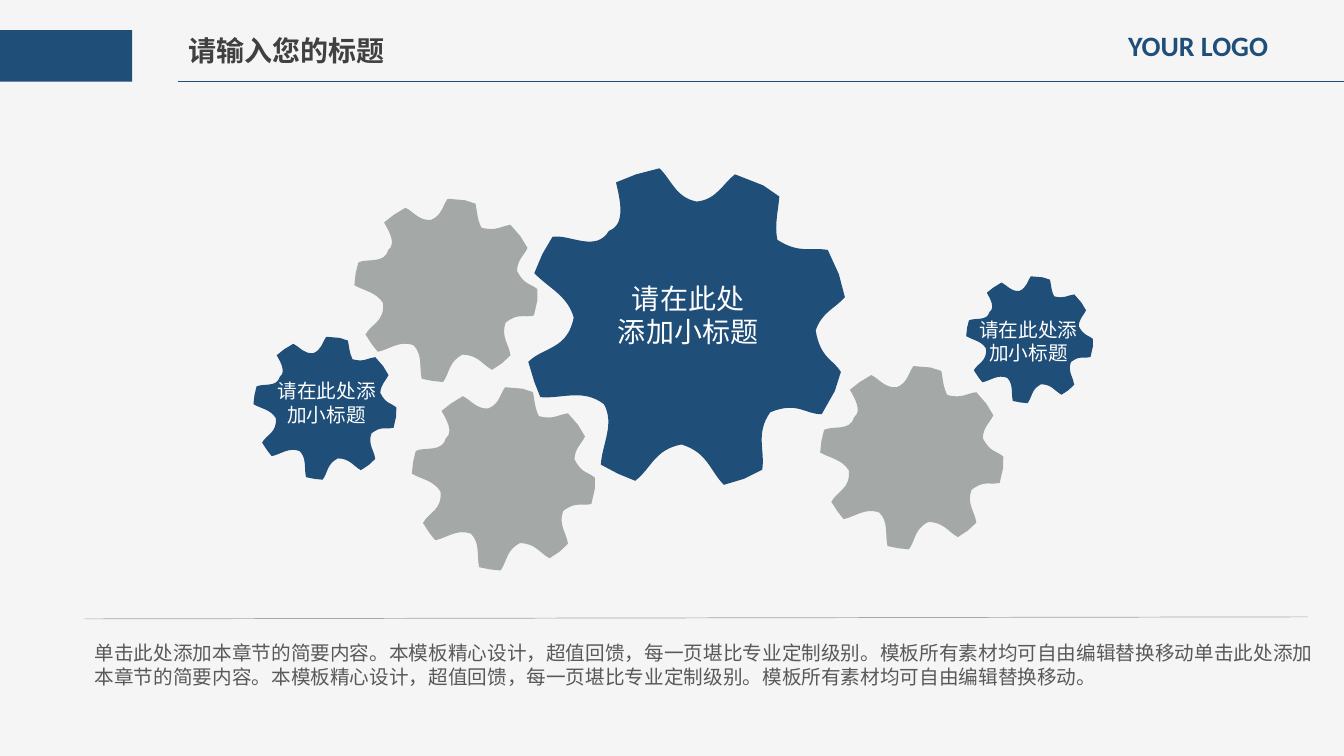
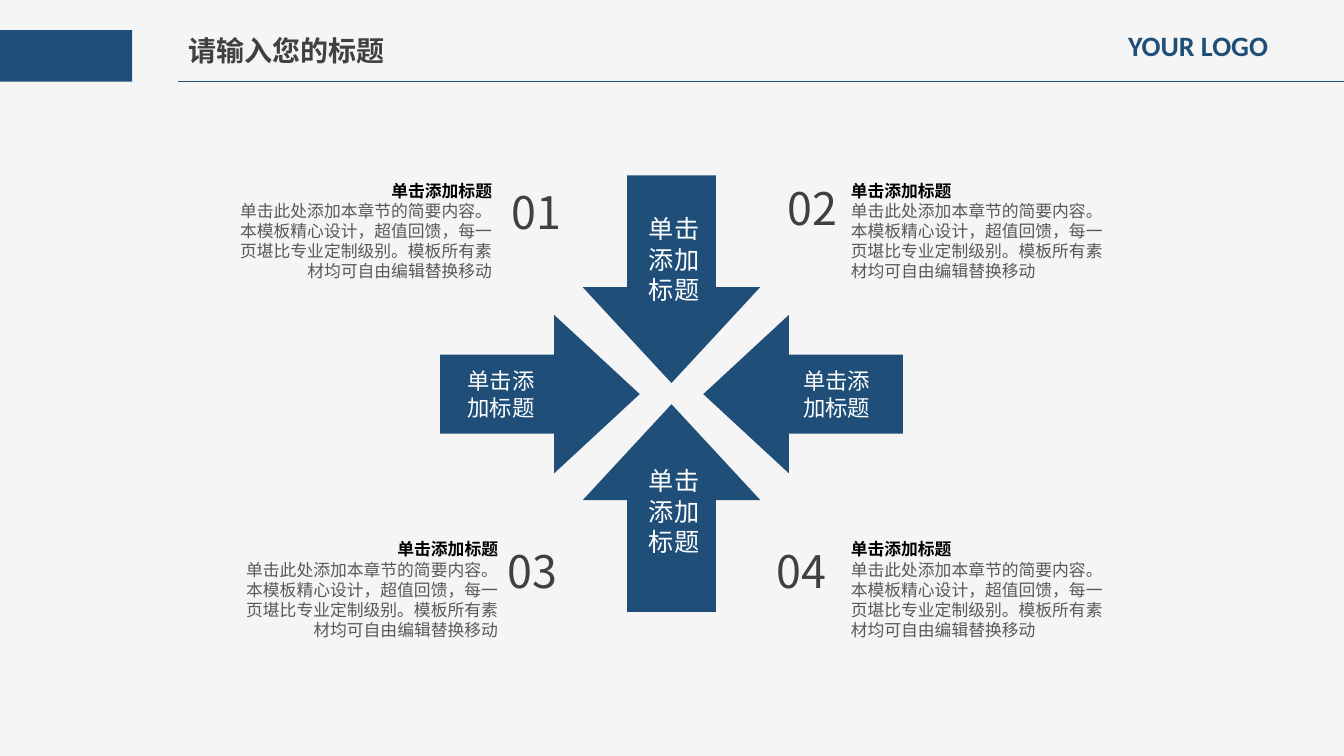
import math
from dataclasses import dataclass

import pptx
import pptx.dml.color
import pptx.enum.shapes
import pptx.enum.text
import pptx.oxml.ns
import pptx.util
from lxml import etree

Inches = pptx.util.Inches
SHAPE = pptx.enum.shapes.MSO_SHAPE
ALIGN = pptx.enum.text.PP_ALIGN
ANCHOR = pptx.enum.text.MSO_ANCHOR
qn = pptx.oxml.ns.qn

GEAR_CENTRE = (6.8, 3.25)
GEAR_SIZE = 3.2
GEAR_START = (6.54, 1.67)
GEAR_OUTLINE = [
    (6.66, 1.78, 6.7, 1.96, 6.91, 2), (7.11, 1.98, 7.17, 1.82, 7.29, 1.73),
    (7.57, 1.84), (7.73, 1.95),
    (7.72, 2.09, 7.68, 2.22, 7.71, 2.38), (7.93, 2.52, 8.04, 2.45, 8.21, 2.48),
    (8.32, 2.72), (8.38, 2.95),
    (8.28, 3.06, 8.15, 3.1, 8.09, 3.28), (8.14, 3.56, 8.26, 3.56, 8.34, 3.69),
    (8.28, 3.88), (8.15, 4.11),
    (7.98, 4.11, 7.91, 3.98, 7.64, 4.09), (7.49, 4.3, 7.59, 4.47, 7.56, 4.66),
    (7.38, 4.75), (7.18, 4.81),
    (7.04, 4.67, 7.02, 4.49, 6.76, 4.41), (6.49, 4.46, 6.46, 4.65, 6.3, 4.77),
    (6.13, 4.7), (5.96, 4.61),
    (5.97, 4.41, 6.1, 4.21, 5.99, 4.01), (5.78, 3.85, 5.57, 3.96, 5.36, 3.94),
    (5.3, 3.79), (5.24, 3.59),
    (5.39, 3.44, 5.63, 3.47, 5.69, 3.15), (5.63, 2.93, 5.43, 2.85, 5.3, 2.71),
    (5.38, 2.52), (5.48, 2.35),
    (5.65, 2.32, 5.91, 2.51, 6.04, 2.29), (6.21, 2.23, 6.15, 1.98, 6.11, 1.81),
    (6.31, 1.73),
]

GEAR_CAPTION = "请在此处添加小标题"
SUMMARY = "单击此处添加本章节的简要内容。本模板精心设计，超值回馈，每一页堪比专业定制级别。模板所有素材均可自由编辑替换移动"


@dataclass(frozen=True)
class Theme:
    paper: str = "F5F5F5"
    blue: str = "1F4E79"
    grey: str = "A4A8A7"
    dark: str = "404040"
    body: str = "595959"
    black: str = "000000"
    white: str = "FFFFFF"
    cjk: str = "Noto Sans CJK SC"
    latin: str = "Calibri"
    heading: str = "Arial"
    number_size: int = 32
    title_size: int = 20
    arrow_size: int = 18
    side_arrow_size: int = 16
    body_size: int = 14
    note_size: int = 12


def rgb(value):
    return pptx.dml.color.RGBColor.from_string(value)


class Deck:
    """Holds the style and the current slide, and draws each kind of element."""

    def __init__(self, theme):
        self.theme = theme
        self.prs = pptx.Presentation()
        self.prs.slide_width, self.prs.slide_height = Inches(13.33), Inches(7.5)
        self.s = None

    def slide(self, title):
        t = self.theme
        self.s = self.prs.slides.add_slide(self.prs.slide_layouts[6])
        fill = self.s.background.fill
        fill.solid()
        fill.fore_color.rgb = rgb(t.paper)
        self.line(1.77, 0.81, 13.33, 0.81, t.blue, 0.75)
        self.text(11.09, 0.17, 1.8, 0.49, "YOUR LOGO", t.title_size, t.blue,
                  t.latin, bold=True, anchor=ANCHOR.MIDDLE, spacing=1.2)
        self.text(1.77, 0.13, 2.81, 0.73, title, t.title_size, t.dark, t.heading,
                  bold=True, align=ALIGN.JUSTIFY, anchor=ANCHOR.MIDDLE)
        self.shape(SHAPE.RECTANGLE, 0, 0.3, 1.31, 0.51)

    def paint(self, sp, color):
        sp.shadow.inherit = False
        sp.fill.solid()
        sp.fill.fore_color.rgb = rgb(color)
        sp.line.fill.background()

    def shape(self, kind, x, y, w, h, rotation=0):
        sp = self.s.shapes.add_shape(kind, Inches(x), Inches(y), Inches(w), Inches(h))
        self.paint(sp, self.theme.blue)
        sp.rotation = rotation
        return sp

    def arrow(self, x, y, w, h, rotation):
        sp = self.shape(SHAPE.DOWN_ARROW, x, y, w, h, rotation)
        sp.adjustments[0], sp.adjustments[1] = 0.5, 0.54

    def gear(self, x, y, size, color, turn=0):
        k = size / GEAR_SIZE
        cos, sin = math.cos(math.radians(turn)), math.sin(math.radians(turn))

        def place(px, py):
            dx, dy = px - GEAR_CENTRE[0], py - GEAR_CENTRE[1]
            return (Inches(x + size / 2 + k * (dx * cos - dy * sin)),
                    Inches(y + size / 2 + k * (dx * sin + dy * cos)))

        fb = self.s.shapes.build_freeform(*place(*GEAR_START))
        fb.add_line_segments([place(*segment[i:i + 2]) for segment in GEAR_OUTLINE
                              for i in range(0, len(segment), 2)], close=True)
        sp = fb.convert_to_shape()
        self.paint(sp, color)
        self.curve(sp)

    def curve(self, sp):
        steps = iter(list(sp._element.iter(qn("a:lnTo"))))
        for segment in GEAR_OUTLINE:
            first = next(steps)
            if len(segment) == 6:
                first.tag = qn("a:cubicBezTo")
                for step in (next(steps), next(steps)):
                    first.append(step[0])
                    step.getparent().remove(step)

    def line(self, x1, y1, x2, y2, color, width):
        cx = self.s.shapes.add_connector(
            pptx.enum.shapes.MSO_CONNECTOR.STRAIGHT,
            Inches(x1), Inches(y1), Inches(x2), Inches(y2))
        cx.line.color.rgb = rgb(color)
        cx.line.width = pptx.util.Pt(width)
        etree.SubElement(cx._element.spPr, qn("a:effectLst"))

    def style(self, p, size, color, font, bold, align):
        p.alignment = align
        f = p.font
        f.size, f.bold, f.name = pptx.util.Pt(size), bold, font
        f.color.rgb = rgb(color)
        latin = p._p.pPr.find(qn("a:defRPr")).find(qn("a:latin"))
        latin.addnext(etree.Element(qn("a:ea"), typeface=self.theme.cjk))

    def text(self, x, y, w, h, text, size, color, font=None, bold=False,
             align=ALIGN.LEFT, anchor=ANCHOR.TOP, spacing=None):
        tf = self.s.shapes.add_textbox(Inches(x), Inches(y), Inches(w), Inches(h)).text_frame
        tf.word_wrap = True
        tf.vertical_anchor = anchor
        tf.text = text
        for p in tf.paragraphs:
            if spacing:
                p.line_spacing = spacing
            self.style(p, size, color, font or self.theme.cjk, bold, align)
        return tf

    def note(self, x, y, align):
        t = self.theme
        tf = self.text(x, y, 2.86, 1.11, "单击添加标题", t.note_size, t.black,
                       bold=True, align=align)
        p = tf.add_paragraph()
        p.text = SUMMARY
        self.style(p, t.note_size, t.body, t.cjk, False, align)


def gears_slide(deck):
    t = deck.theme
    deck.slide("请输入您的标题")
    deck.gear(5.2, 1.65, GEAR_SIZE, t.blue)
    for x, y, size, color in [(8.13, 3.63, 1.82, t.grey), (9.58, 2.74, 1.26, t.blue),
                              (4.08, 3.84, 1.82, t.grey), (3.51, 1.97, 1.82, t.grey),
                              (2.51, 3.34, 1.42, t.blue)]:
        deck.gear(x, y, size, color, turn=-16.6)
    deck.text(5.84, 2.74, 1.97, 0.77, "请在此处\n添加小标题", t.title_size, t.white,
              t.latin, align=ALIGN.CENTER)
    for x, y in [(9.59, 3.1), (2.63, 3.71)]:
        deck.text(x, y, 1.22, 0.57, GEAR_CAPTION, t.body_size, t.white, t.latin,
                  align=ALIGN.CENTER)
    deck.text(0.84, 6.31, 12.35, 0.57, SUMMARY + SUMMARY + "。", t.body_size, t.body)
    deck.line(0.84, 6.14, 12.97, 6.12, t.grey, 0.5)


def arrows_slide(deck):
    t = deck.theme
    deck.slide("请输入您的标题")
    for y, rotation, text_y in [(1.74, 0, 2.07), (4.01, 180, 4.57)]:
        deck.arrow(5.78, y, 1.76, 2.06, rotation)
        deck.text(6.23, text_y, 0.91, 1.01, "单击\n添加\n标题", t.arrow_size, t.white,
                  align=ALIGN.CENTER)
    for x, rotation, text_x in [(4.57, 270, 4.43), (7.18, 90, 7.76)]:
        deck.arrow(x, 2.92, 1.57, 1.98, rotation)
        deck.text(text_x, 3.59, 1.08, 0.64, "单击添\n加标题", t.side_arrow_size, t.white,
                  align=ALIGN.CENTER)
    for number, x, y, note_x, note_y, align in [
            ("01", 4.94, 1.78, 2.12, 1.74, ALIGN.RIGHT),
            ("02", 7.68, 1.74, 8.34, 1.74, ALIGN.LEFT),
            ("03", 4.9, 5.34, 2.18, 5.3, ALIGN.RIGHT),
            ("04", 7.57, 5.34, 8.34, 5.3, ALIGN.LEFT)]:
        deck.note(note_x, note_y, align)
        deck.text(x, y, 0.76, 0.64, number, t.number_size, t.dark, align=ALIGN.CENTER)


def main():
    deck = Deck(Theme())
    gears_slide(deck)
    arrows_slide(deck)
    deck.prs.save("out.pptx")


if __name__ == "__main__":
    main()
